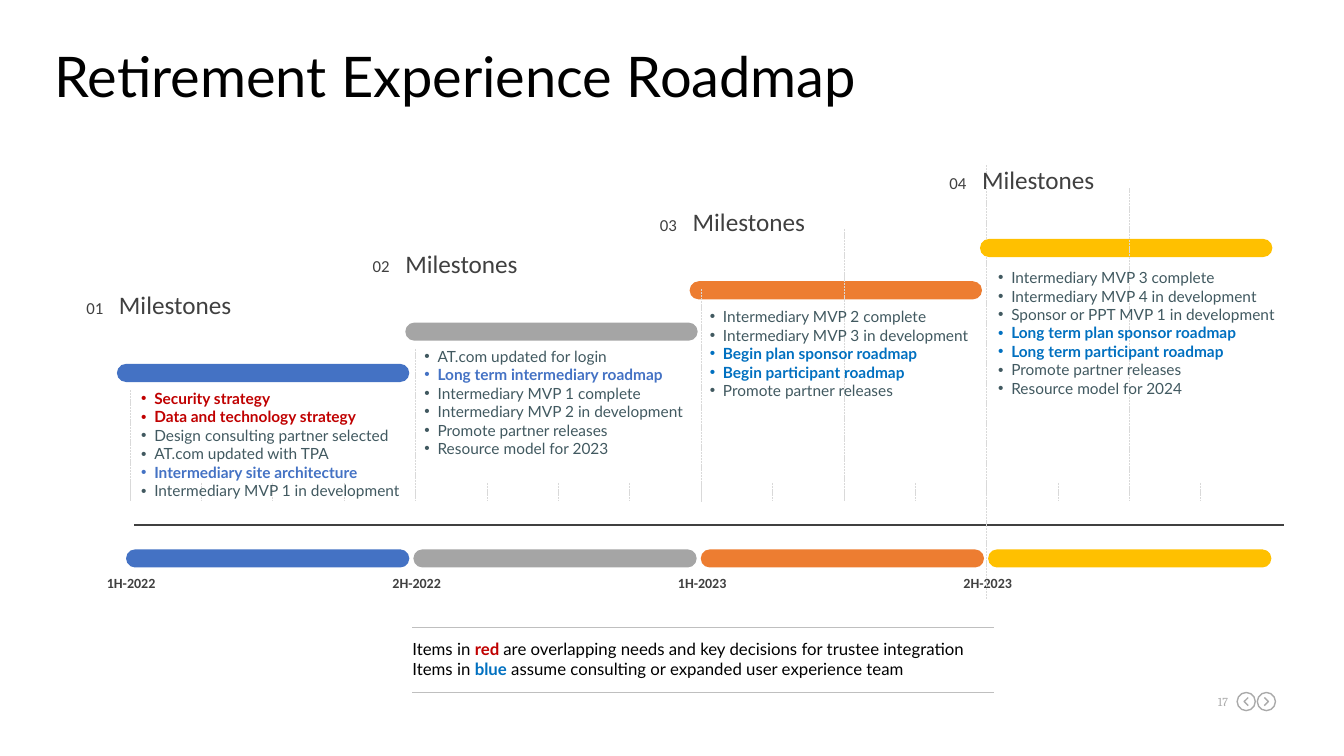
from lxml import etree
from pptx import Presentation
from pptx import util as u
from pptx.dml.color import RGBColor
from pptx.enum import dml, shapes, text
from pptx.oxml import ns

BLUE, GREY, ORANGE, GOLD = "4472C4", "A5A5A5", "ED7D31", "FFC000"
RED, SKY, SLATE, DARK, PALE, ICON = "C00000", "0070C0", "415960", "404040", "D9D9D9", "AAAAAA"
AXIS_LEFT, QUARTER, TICK_TOP, TICK_BOTTOM = 1.29, 0.708, 4.79, 4.97

STAGES = [
    dict(
        number="01", half="1H-2022", color=BLUE, heading=(1.18, 2.87), bar=1.16, list=(1.4, 3.86),
        guides=[(0, 3.87, TICK_BOTTOM)],
        items=[
            ("Security strategy", RED),
            ("Data and technology strategy", RED),
            ("Design consulting partner selected", SLATE),
            ("AT.com updated with TPA", SLATE),
            ("Intermediary site architecture", BLUE),
            ("Intermediary MVP 1 in development", SLATE),
        ],
    ),
    dict(
        number="02", half="2H-2022", color=GREY, heading=(4.02, 2.46), bar=4.02, list=(4.21, 3.44),
        guides=[(4, 3.46, TICK_BOTTOM)],
        items=[
            ("AT.com updated for login", SLATE),
            ("Long term intermediary roadmap", BLUE),
            ("Intermediary MVP 1 complete", SLATE),
            ("Intermediary MVP 2 in development", SLATE),
            ("Promote partner releases", SLATE),
            ("Resource model for 2023", SLATE),
        ],
    ),
    dict(
        number="03", half="1H-2023", color=ORANGE, heading=(6.87, 2.05), bar=6.84, list=(7.04, 3.05),
        guides=[(8, 2.87, TICK_BOTTOM), (10, 2.27, TICK_BOTTOM), (12, 1.64, 5.94)],
        items=[
            ("Intermediary MVP 2 complete", SLATE),
            ("Intermediary MVP 3 in development", SLATE),
            ("Begin plan sponsor roadmap", SKY),
            ("Begin participant roadmap", SKY),
            ("Promote partner releases", SLATE),
        ],
    ),
    dict(
        number="04", half="2H-2023", color=GOLD, heading=(9.74, 1.63), bar=9.72, list=(9.9, 2.66),
        guides=[(14, 1.87, TICK_BOTTOM)],
        items=[
            ("Intermediary MVP 3 complete", SLATE),
            ("Intermediary MVP 4 in development", SLATE),
            ("Sponsor or PPT MVP 1 in development", SLATE),
            ("Long term plan sponsor roadmap", SKY),
            ("Long term participant roadmap", SKY),
            ("Promote partner releases", SLATE),
            ("Resource model for 2024", SLATE),
        ],
    ),
]
LEGEND = [
    [("Items in ", None), ("red ", RED),
     ("are overlapping needs and key decisions for trustee integration", None)],
    [("Items in ", None), ("blue", SKY),
     (" assume consulting or expanded user experience team", None)],
]


def rgb(value):
    """Turn a hex string into a colour."""
    return RGBColor.from_string(value)


def style(font, name, size, color, bold=False):
    """Set the face, size, colour and weight of a font."""
    font.name, font.size, font.bold = name, u.Pt(size), bold
    font.color.rgb = rgb(color)


def add_frame(page, left, top, width, height):
    """Add a text box without margins and return its text frame."""
    frame = page.shapes.add_textbox(*map(u.Inches, (left, top, width, height))).text_frame
    frame.word_wrap = True
    frame.margin_left = frame.margin_top = frame.margin_right = frame.margin_bottom = 0
    return frame


def add_label(page, area, words, name, size, color, align=text.PP_ALIGN.LEFT, bold=False):
    """Add one line of text."""
    para = add_frame(page, *area).paragraphs[0]
    para.text, para.alignment = words, align
    style(para.font, name, size, color, bold)


def add_line(page, start, end, color, width, dashed=False):
    """Add a straight line between two points."""
    line = page.shapes.add_connector(shapes.MSO_CONNECTOR.STRAIGHT, *map(u.Inches, start + end))
    line.line.color.rgb, line.line.width = rgb(color), u.Pt(width)
    if dashed:
        line.line.dash_style = dml.MSO_LINE.SQUARE_DOT
    etree.SubElement(line._element.spPr, ns.qn("a:effectLst"))


def add_bar(page, left, top, width, color):
    """Add a pill-shaped bar."""
    bar = page.shapes.add_shape(
        shapes.MSO_SHAPE.ROUNDED_RECTANGLE, *map(u.Inches, (left, top, width, 0.18)))
    bar.adjustments[0] = 0.5
    bar.shadow.inherit = False
    bar.fill.solid()
    bar.fill.fore_color.rgb = rgb(color)
    bar.line.fill.background()


def add_title(page, left, top, width, height):
    """Place and format the title."""
    title = page.shapes.title
    title.left, title.top, title.width, title.height = map(u.Inches, (left, top, width, height))
    frame = title.text_frame
    frame.text, frame.vertical_anchor = "Retirement Experience Roadmap", text.MSO_ANCHOR.MIDDLE
    frame.auto_size = text.MSO_AUTO_SIZE.NONE
    para = frame.paragraphs[0]
    para.alignment, para.line_spacing = text.PP_ALIGN.LEFT, 0.9
    style(para.font, "Lato", 40, "000000")


def add_bullets(page, left, top, items):
    """Add a bulleted list, with coloured items in bold."""
    frame = add_frame(page, left, top, 2.79, 0.185 * len(items))
    for index, (words, color) in enumerate(items):
        para = frame.add_paragraph() if index else frame.paragraphs[0]
        para.text = words
        props = para._p.get_or_add_pPr()
        props.set("marL", str(u.Inches(0.13)))
        props.set("indent", str(u.Inches(-0.13)))
        etree.SubElement(props, ns.qn("a:buFont"), typeface="Arial")
        etree.SubElement(props, ns.qn("a:buChar"), char="•")
        style(para.font, "Lato", 11, color, color != SLATE)


def add_stage(page, stage):
    """Add a step of the staircase: heading, bar, guides and list."""
    left, top = stage["heading"]
    add_label(page, (left, top, 1.42, 0.3), "Milestones", "Calibri", 18, DARK)
    add_label(page, (left - 0.43, top + 0.08, 0.38, 0.2), stage["number"],
              "Calibri", 12, DARK, text.PP_ALIGN.CENTER)
    add_bar(page, stage["bar"], top + 0.74, 2.9, stage["color"])
    for slot, start, end in stage["guides"]:
        x = AXIS_LEFT + slot * QUARTER
        add_line(page, (x, start), (x, end), PALE, 0.5, True)
    add_bullets(page, *stage["list"], stage["items"])


def add_timeline(page, left):
    """Add the axis with its ticks, half-year bars and labels."""
    add_line(page, (left + 0.04, 5.21), (12.74, 5.21), DARK, 1.25)
    for slot in range(4 * len(STAGES)):
        x = left + slot * QUARTER
        add_line(page, (x, TICK_TOP), (x, TICK_BOTTOM), PALE, 0.5, True)
    for index, stage in enumerate(STAGES):
        x = left + 4 * index * QUARTER
        add_bar(page, left - 0.04 + 2.85 * index, 5.45, 2.81, stage["color"])
        add_label(page, (x - 0.3, 5.7, 0.62, 0.26), stage["half"],
                  "Calibri", 10, DARK, text.PP_ALIGN.CENTER, True)


def add_legend(page, left, top, width, height):
    """Add the colour key between two rules."""
    for y in (top, top + height):
        add_line(page, (left, y), (left + width, y), "BFBFBF", 0.5)
    frame = add_frame(page, left, top + 0.12, width, 0.4)
    for index, spans in enumerate(LEGEND):
        para = frame.add_paragraph() if index else frame.paragraphs[0]
        style(para.font, "Lato", 12, "000000")
        for words, color in spans:
            span = para.add_run()
            span.text = words
            if color:
                span.font.bold, span.font.color.rgb = True, rgb(color)


def add_arrow_button(page, left, top, size, direction):
    """Add a ringed chevron that points left (-1) or right (1)."""
    ring = page.shapes.add_shape(
        shapes.MSO_SHAPE.OVAL, *map(u.Inches, (left, top, size, size)))
    x, y = left + size / 2, top + size / 2
    back, tip = x - 0.02 * direction, x + 0.02 * direction
    builder = page.shapes.build_freeform(u.Inches(back), u.Inches(y - 0.04))
    builder.add_line_segments(
        [(u.Inches(tip), u.Inches(y)), (u.Inches(back), u.Inches(y + 0.04))], close=False)
    for part in (ring, builder.convert_to_shape()):
        part.shadow.inherit = False
        part.fill.background()
        part.line.color.rgb, part.line.width = rgb(ICON), u.Pt(1)


def add_footer(page, left, top):
    """Add the page number and the two arrow buttons."""
    add_label(page, (left, top + 0.02, 0.25, 0.15), "17", "Cambria", 8.7, ICON, text.PP_ALIGN.RIGHT)
    add_arrow_button(page, left + 0.34, top, 0.18, -1)
    add_arrow_button(page, left + 0.54, top, 0.18, 1)


def main():
    """Build the roadmap slide."""
    deck = Presentation()
    deck.slide_width, deck.slide_height = u.Inches(13.33), u.Inches(7.5)
    page = deck.slides.add_slide(deck.slide_layouts[5])
    add_title(page, 0.44, 0.49, 12.4, 0.59)
    add_timeline(page, AXIS_LEFT)
    for stage in STAGES:
        add_stage(page, stage)
    add_legend(page, 4.09, 6.22, 5.77, 0.65)
    add_footer(page, 11.93, 6.87)
    deck.save("out.pptx")


if __name__ == "__main__":
    main()
